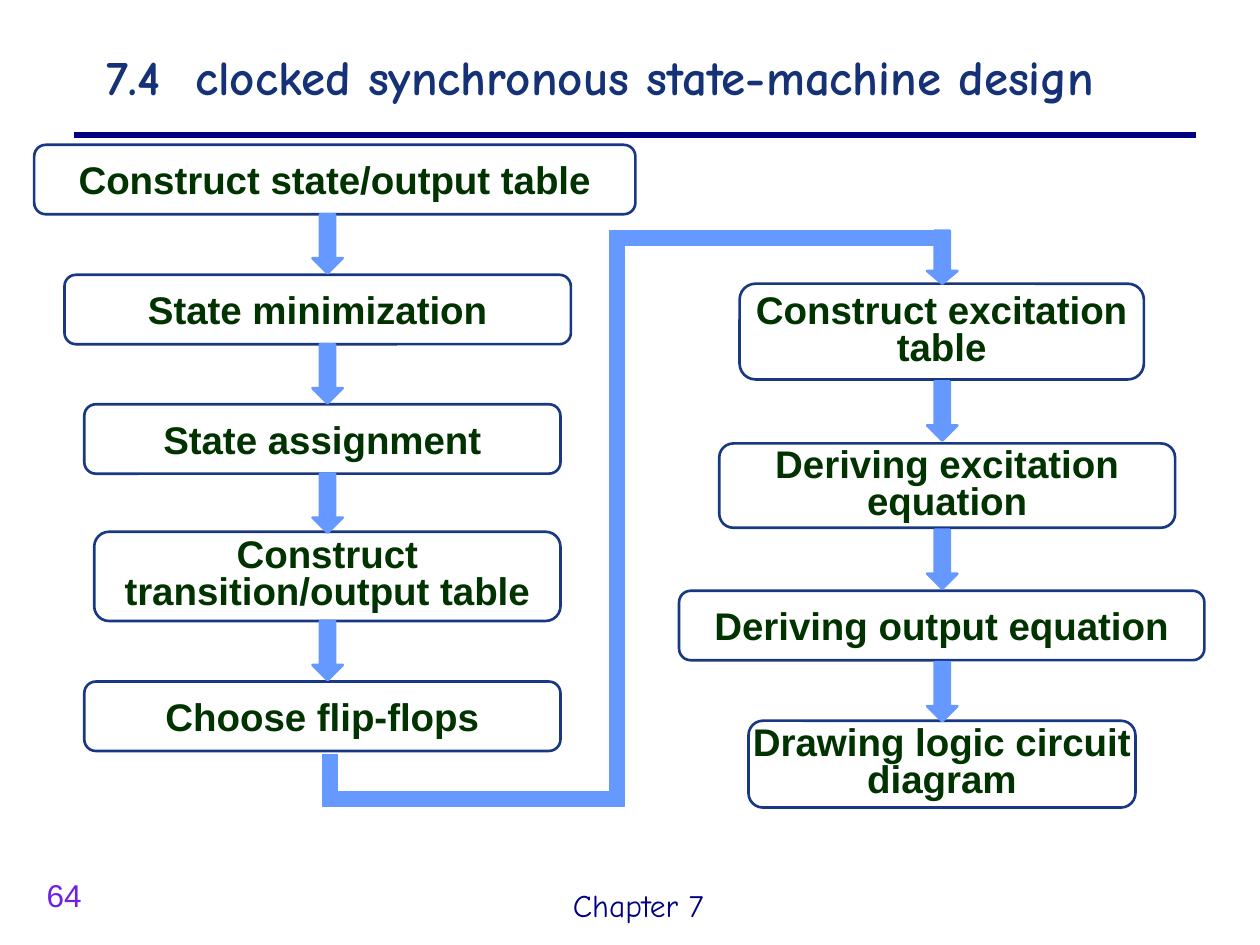
from pptx import Presentation
from pptx.dml.color import RGBColor
from pptx.enum.shapes import MSO_CONNECTOR, MSO_SHAPE
from pptx.enum.text import MSO_ANCHOR, PP_ALIGN
from pptx.oxml.ns import qn
from pptx.util import Cm, Pt

ROUNDED, RECT, DOWN = MSO_SHAPE.ROUNDED_RECTANGLE, MSO_SHAPE.RECTANGLE, MSO_SHAPE.DOWN_ARROW
STRAIGHT = MSO_CONNECTOR.STRAIGHT
TOP, MIDDLE = MSO_ANCHOR.TOP, MSO_ANCHOR.MIDDLE
LEFT, CENTER = PP_ALIGN.LEFT, PP_ALIGN.CENTER

# Content: lengths in cm
NAVY, BORDER, GREEN, BLUE = "000080", "183883", "003300", "6699FF"
ARROW_WIDTH, ARROW_HEIGHT, BAR = 0.61, 1.19, 0.3

# text, (left, top, width, height), font, size, colour, bold, anchor
LABELS = [
    ("7.4  clocked synchronous state-machine design", (1.9, 0.53, 22.2, 2.01),
     "Comic Neue", 28, "153276", True, MIDDLE),
    ("Chapter 7", (11.3, 17.73, 3.61, 1.02), "Comic Neue", 18, NAVY, False, TOP),
    ("64", (0.69, 17.53, 1.8, 1.02), "Arial", 18, "6F20E4", False, TOP),
]

# Each column: arrow left, gap above arrow, steps (text, place, two lines)
COLUMNS = [
    (6.3, 0, [
        ("Construct state/output table", (0.69, 2.92, 12.12, 1.4), False),
        ("State minimization", (1.3, 5.54, 10.21, 1.4), False),
        ("State assignment", (1.7, 8.15, 9.6, 1.4), False),
        ("Construct transition/output table", (1.9, 10.72, 9.4, 1.8), True),
        ("Choose flip-flops", (1.7, 13.74, 9.6, 1.4), False),
    ]),
    (18.69, 0.04, [
        ("Construct excitation table", (14.91, 5.72, 8.15, 1.93), True),
        ("Deriving excitation equation", (14.5, 8.94, 9.19, 1.7), True),
        ("Deriving output equation", (13.69, 11.91, 10.59, 1.4), False),
        ("Drawing logic circuit diagram", (15.09, 14.53, 7.8, 1.75), True),
    ]),
]

# Route from the last left step to the first right step
ROUTE_ARROW = (18.69, 4.65, ARROW_WIDTH, 1.07)
ROUTE_BARS = [
    (12.29, 4.85, BAR, 11.4),
    (6.5, 15.95, 5.79, BAR),
    (6.5, 15.21, BAR, 0.84),
    (12.29, 4.65, 6.6, BAR),
]


def color(value):
    return RGBColor.from_string(value)


def add_text(frame, text, font, size, ink, bold, anchor, align):
    frame.vertical_anchor = anchor
    para = frame.paragraphs[0]
    para.alignment = align
    span = para.add_run()
    span.text = text
    span.font.name, span.font.size, span.font.bold = font, Pt(size), bold
    span.font.color.rgb = color(ink)
    return para


def add_shape(kind, place, line, weight, fill=None):
    shape = page.shapes.add_shape(kind, *map(Cm, place))
    shape.shadow.inherit = False
    if fill:
        shape.fill.solid()
        shape.fill.fore_color.rgb = color(fill)
    else:
        shape.fill.background()
    shape.line.color.rgb = color(line)
    shape.line.width = Pt(weight)
    return shape


def add_step(text, place, two_lines):
    box = add_shape(ROUNDED, place, BORDER, 1.5)
    frame = box.text_frame
    frame.margin_left = frame.margin_right = frame.margin_top = frame.margin_bottom = 0
    frame.word_wrap = two_lines
    para = add_text(frame, text, "Arial", 22, GREEN, True, MIDDLE, CENTER)
    if two_lines:
        para.line_spacing = 0.8


deck = Presentation()
deck.slide_width, deck.slide_height = Cm(25.4), Cm(19.05)
page = deck.slides.add_slide(deck.slide_layouts[6])

# Rule under the title
rule = page.shapes.add_connector(STRAIGHT, Cm(1.5), Cm(2.72), Cm(24.1), Cm(2.72))
rule.line.color.rgb = color(NAVY)
rule.line.width = Pt(3)
rule_props = rule._element.spPr
rule_props.append(rule_props.makeelement(qn("a:effectLst"), {}))

# Title and footer
for text, place, font, size, ink, bold, anchor in LABELS:
    label = page.shapes.add_textbox(*map(Cm, place))
    label.text_frame.word_wrap = True
    add_text(label.text_frame, text, font, size, ink, bold, anchor, LEFT)

# Steps, then an arrow below every step but the last
for arrow_left, gap, steps in COLUMNS:
    for step in steps:
        add_step(*step)
    for _, (_, top, _, height), _ in steps[:-1]:
        add_shape(DOWN, (arrow_left, top + height + gap, ARROW_WIDTH, ARROW_HEIGHT),
                  BLUE, 1.5, BLUE)

# Route between the columns
route_arrow = add_shape(DOWN, ROUTE_ARROW, BLUE, 1.5, BLUE)
route_arrow.adjustments[1] = 0.42
for place in ROUTE_BARS:
    add_shape(RECT, place, BLUE, 0.75, BLUE)

deck.save("out.pptx")
